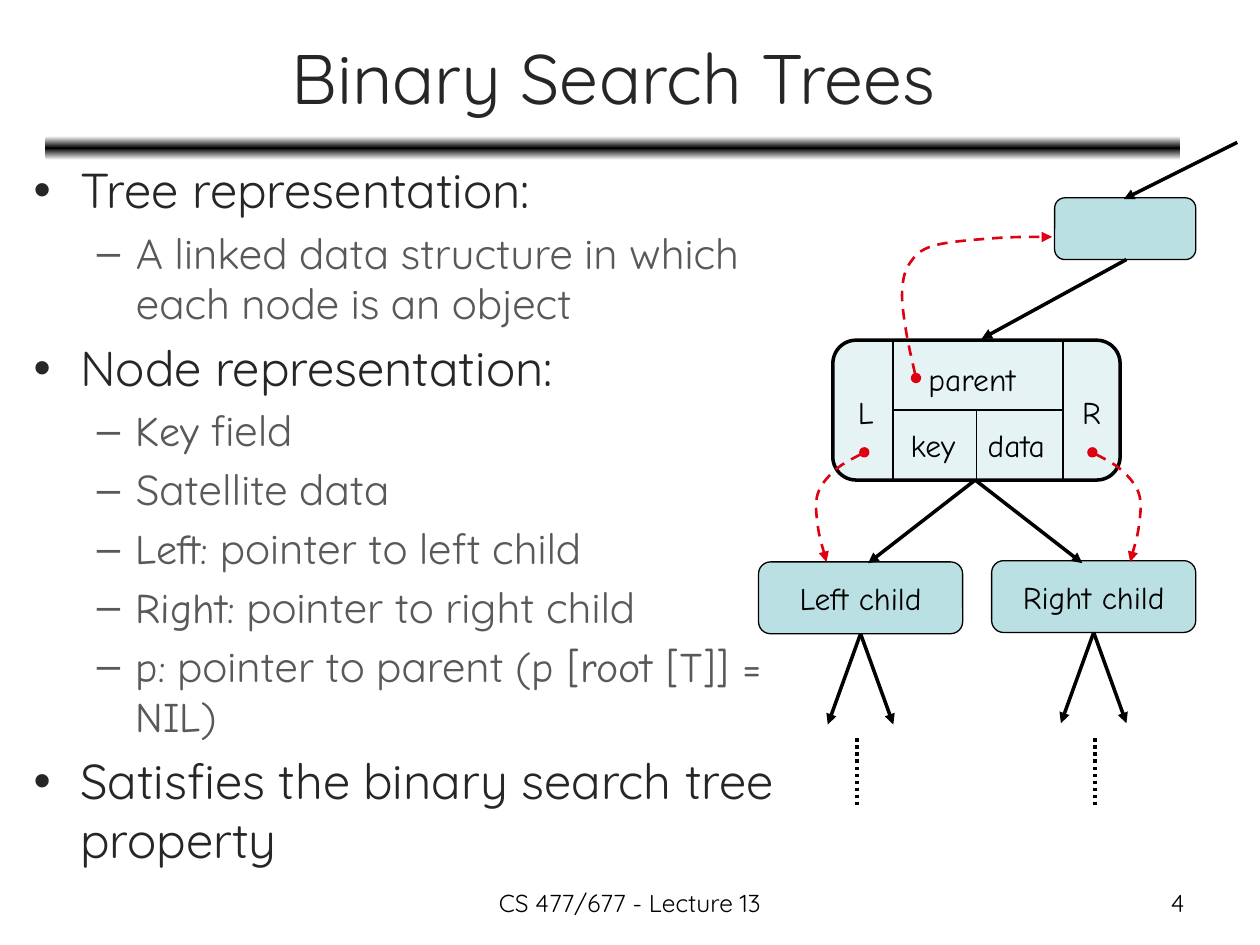
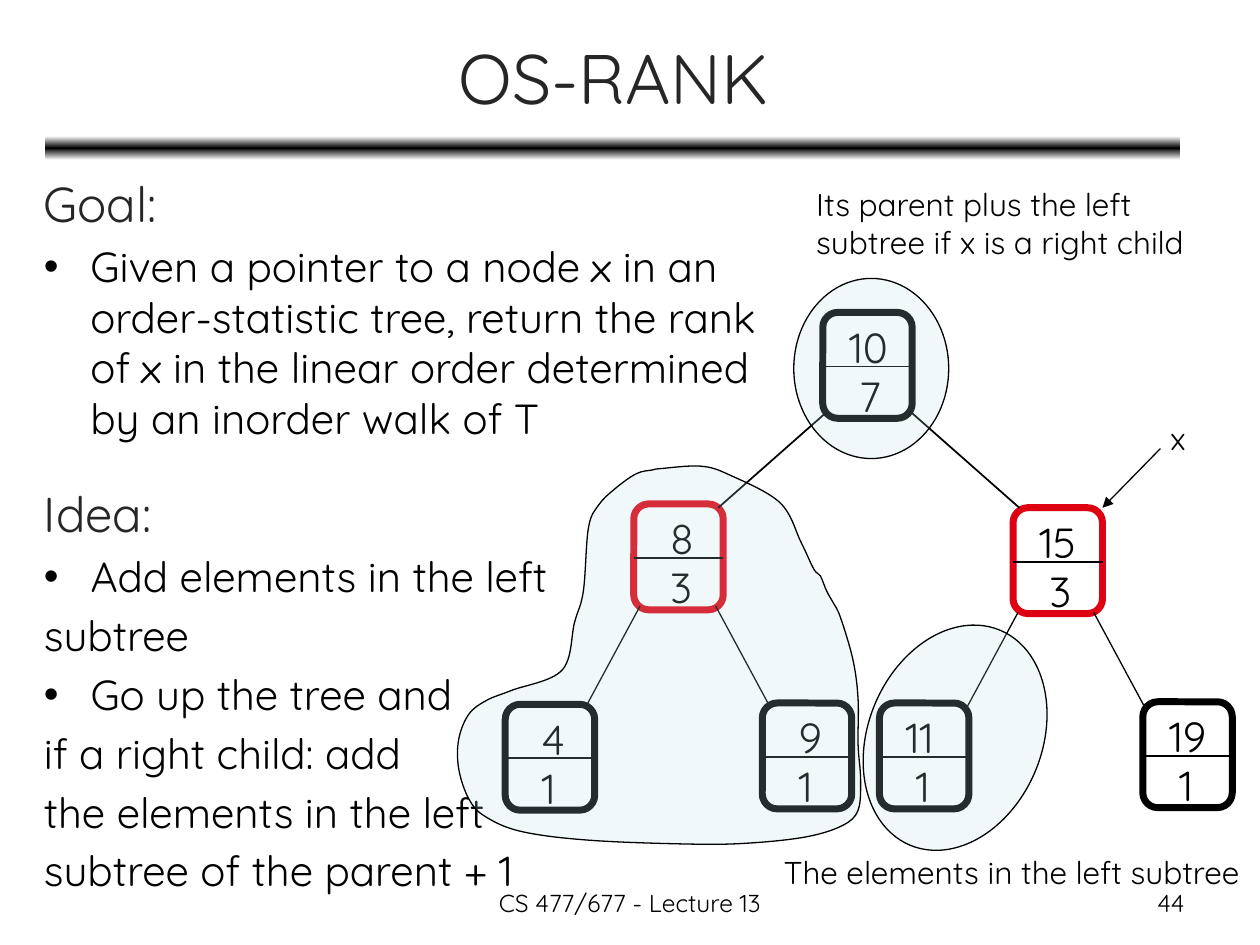
from copy import deepcopy
from dataclasses import dataclass

from lxml import etree
from pptx import Presentation, util as u
from pptx.dml.color import RGBColor
from pptx.enum import dml, shapes, text
from pptx.oxml.ns import qn

COLUMNS, ROWS = 100, 75
UNIT = u.Inches(10) // COLUMNS


@dataclass(frozen=True)
class Theme:
    ink: str = "000000"
    heading: str = "262626"
    detail: str = "595959"
    paper: str = "FFFFFF"
    teal: str = "BBE0E3"
    pale_teal: str = "E5F3F5"
    red: str = "DD0111"
    sans: str = "Quicksand"
    hand: str = "Comic Neue"
    title_size: int = 40
    lead_size: int = 28
    text_size: int = 24
    label_size: int = 18
    footer_size: int = 14


THEME = Theme()


@dataclass(frozen=True)
class Area:
    """A box on the slide grid."""
    x: float
    y: float
    w: float
    h: float

    def cell(self, dx, dy, w, h):
        return Area(self.x + dx, self.y + dy, w, h)

    def point(self, dx, dy):
        return self.x + dx, self.y + dy

    def at(self, across, down):
        """Point given as shares of this box."""
        return self.point(self.w * across, self.h * down)

    def emu(self):
        return [grid(v) for v in (self.x, self.y, self.w, self.h)]


@dataclass(frozen=True)
class Style:
    size: int
    color: str
    left: float = 0.37
    hang: float = 0.37
    bullet: str = ""
    level: int = 0


HEAD = Style(THEME.lead_size, THEME.heading)
TOPIC = Style(THEME.lead_size, THEME.heading, left=0.38, bullet="•")
DETAIL = Style(THEME.text_size, THEME.detail, 0.82, 0.31, "–", 1)
POINT = Style(THEME.text_size, THEME.ink, bullet="•")
FOLLOW = Style(THEME.text_size, THEME.ink)


def grid(value):
    return round(value * UNIT)


def rgb(color):
    return RGBColor.from_string(color)


def add_run(paragraph, words, size, color=THEME.ink, font=THEME.sans):
    run = paragraph.add_run()
    run.text = words
    run.font.size, run.font.name = u.Pt(size), font
    run.font.color.rgb = rgb(color)


def label(parent, area, lines, size=THEME.label_size, font=THEME.sans,
          align=text.PP_ALIGN.LEFT):
    frame = parent.shapes.add_textbox(*area.emu()).text_frame
    frame.word_wrap = True
    for i, line in enumerate(lines.split("\n")):
        paragraph = frame.add_paragraph() if i else frame.paragraphs[0]
        paragraph.alignment = align
        add_run(paragraph, line, size, font=font)


def outline(slide, area, items):
    """Bulleted text; words between asterisks use the handwritten font."""
    frame = slide.shapes.add_textbox(*area.emu()).text_frame
    frame.word_wrap = True
    for i, (style, words) in enumerate(items):
        paragraph = frame.add_paragraph() if i else frame.paragraphs[0]
        paragraph.level = style.level
        paragraph.space_before = u.Pt(style.size * 0.2)
        props = paragraph._p.get_or_add_pPr()
        props.set("marL", str(u.Inches(style.left)))
        props.set("indent", str(-u.Inches(style.hang)))
        if style.bullet:
            etree.SubElement(props, qn("a:buFont"), typeface="Arial")
            etree.SubElement(props, qn("a:buChar"), char=style.bullet)
        for n, part in enumerate(words.split("*")):
            if part:
                add_run(paragraph, part, style.size, style.color,
                        THEME.hand if n % 2 else THEME.sans)


def paint(shape, fill=None, line=THEME.ink, weight=0.75, alpha=None):
    shape.shadow.inherit = False
    if fill:
        shape.fill.solid()
        shape.fill.fore_color.rgb = rgb(fill)
        if alpha:
            color = shape._element.spPr.find(qn("a:solidFill"))[0]
            etree.SubElement(color, qn("a:alpha"), val=str(alpha * 1000))
    else:
        shape.fill.background()
    shape.line.color.rgb = rgb(line)
    shape.line.width = u.Pt(weight)


def add_ends(shape, **ends):
    stroke = shape._element.spPr.find(qn("a:ln"))
    for end, kind in ends.items():
        etree.SubElement(stroke, qn(f"a:{end}"), type=kind)


def rounded(parent, area, **look):
    box = parent.shapes.add_shape(shapes.MSO_SHAPE.ROUNDED_RECTANGLE, *area.emu())
    paint(box, **look)
    return box


def link(parent, start, end, weight=1, arrow=False, dash=None):
    line = parent.shapes.add_connector(
        shapes.MSO_CONNECTOR.STRAIGHT, *[grid(v) for v in (*start, *end)])
    line.line.color.rgb = rgb(THEME.ink)
    line.line.width = u.Pt(weight)
    if dash:
        line.line.dash_style = dash
    if arrow:
        add_ends(line, tailEnd="triangle")
    etree.SubElement(line._element.spPr, qn("a:effectLst"))


def curve(parent, points, closed=False):
    """Freeform of one Bezier per step, smooth through all the points."""
    knots = [(grid(x), grid(y)) for x, y in points]
    trail = knots + knots[:1] if closed else knots
    builder = parent.shapes.build_freeform(*trail[0])
    builder.add_line_segments(trail[1:], close=closed)
    shape = builder.convert_to_shape()
    left, top = (min(axis) for axis in zip(*trail))
    before, after = (knots[-1], knots[1]) if closed else (knots[0], knots[-1])
    around = [before, *trail, after]
    steps = shape._element.spPr.findall(".//" + qn("a:lnTo"))
    for step, a, b, c, d in zip(steps, around, around[1:], around[2:], around[3:]):
        step.tag = qn("a:cubicBezTo")
        handles = [[q + (r - p) / 6 for p, q, r in zip(a, b, c)],
                   [r - (s - q) / 6 for q, r, s in zip(b, c, d)]]
        for i, (x, y) in enumerate(handles):
            step.insert(i, etree.Element(
                qn("a:pt"), x=str(round(x - left)), y=str(round(y - top))))
    return shape


def pointer(parent, points):
    track = curve(parent, points)
    paint(track, line=THEME.red, weight=1.5)
    track.line.dash_style = dml.MSO_LINE.DASH
    add_ends(track, headEnd="oval", tailEnd="triangle")


def highlight(shape):
    paint(shape, fill=THEME.teal, alpha=20)


def title_rule(deck, slide):
    """Blurred rule, drawn once and moved to the master."""
    rule = rounded(slide, Area(3.6, 10.8, 90.1, 1.9))
    rule.line.fill.background()
    rule.fill.gradient()
    rule.fill.gradient_angle = 90
    stops = rule._element.spPr.find(".//" + qn("a:gsLst"))
    stops.append(deepcopy(stops[0]))
    shades = (THEME.paper, THEME.ink, THEME.paper)
    for i, (stop, shade) in enumerate(zip(rule.fill.gradient_stops, shades)):
        stop.position, stop.color.rgb = i / 2, rgb(shade)
    deck.slide_master.shapes._spTree.append(rule._element)


def lecture_slide(deck, title, number):
    slide = deck.slides.add_slide(deck.slide_layouts[5])
    page = Area(0, 0, COLUMNS, ROWS)
    heading = slide.shapes.title
    heading.left, heading.top, heading.width, heading.height = page.cell(
        3.7, 1.1, 90, 9.9).emu()
    heading.text_frame.vertical_anchor = text.MSO_ANCHOR.MIDDLE
    paragraph = heading.text_frame.paragraphs[0]
    paragraph.alignment = text.PP_ALIGN.CENTER
    add_run(paragraph, title, THEME.title_size, THEME.heading)
    label(slide, page.cell(34.15, 70, 31.7, 3.5), "CS 477/677 - Lecture 13",
          THEME.footer_size, align=text.PP_ALIGN.CENTER)
    label(slide, page.cell(71.7, 70, 23.3, 3.5), number,
          THEME.footer_size, align=text.PP_ALIGN.RIGHT)
    return slide


def node_record(parent, area):
    """Node split into its five fields."""
    rounded(parent, area, fill=THEME.pale_teal, weight=2)
    for start, end in (((0.21, 0), (0.21, 1)), ((0.8, 0), (0.8, 1)),
                       ((0.21, 0.5), (0.8, 0.5)), ((0.5, 0.5), (0.5, 1))):
        link(parent, area.at(*start), area.at(*end))
    for field, dx, dy, width in (("L", 1, 3.7, 3.4), ("R", 18.8, 3.7, 3.6),
                                 ("parent", 6.6, 1.1, 9.7), ("key", 5.2, 6.3, 6),
                                 ("data", 11.3, 6.3, 7.2)):
        label(parent, area.cell(dx, dy, width, 4), field, font=THEME.hand)


def child_node(parent, area, name):
    child = rounded(parent, area, fill=THEME.teal)
    frame = child.text_frame
    frame.word_wrap = False
    frame.vertical_anchor = text.MSO_ANCHOR.MIDDLE
    frame.paragraphs[0].alignment = text.PP_ALIGN.CENTER
    add_run(frame.paragraphs[0], name, THEME.label_size, font=THEME.hand)
    x, bottom = area.at(0.5, 1)
    for side in (-1, 1):
        link(parent, (x, bottom), (x + 2.6 * side, bottom + 7.2), 2, arrow=True)


def linked_tree(slide, area):
    tree = slide.shapes.add_group_shape()
    parent = area.cell(23.7, 5.7, 11.2, 4.9)
    record = area.cell(6.1, 17, 22.8, 11.1)
    rounded(tree, parent, fill=THEME.teal)
    node_record(tree, record)
    child_node(tree, area.cell(0.2, 34.6, 16.2, 5.7), "Left child")
    child_node(tree, area.cell(18.7, 34.5, 16.2, 5.7), "Right child")
    link(tree, area.point(38.2, 1.3), area.point(29.2, 5.8), 2, arrow=True)
    link(tree, area.point(29.4, 10.6), area.point(17.9, 16.9), 2, arrow=True)
    for side, start, dots in ((-1, 8.6, 8), (1, 26.7, 26.9)):
        link(tree, area.point(17.4, 28.1), area.point(17.4 + 8.5 * side, 34.7),
             2, arrow=True)
        pointer(tree, [area.point(start + side * dx, 25.9 + dy) for dx, dy in (
            (0, 0), (2.3, 1.4), (3.7, 3.3), (3.7, 5.8), (3, 8.7))])
        link(tree, area.point(dots, 48.6), area.point(dots, 54), 2,
             dash=dml.MSO_LINE.ROUND_DOT)
    pointer(tree, [area.point(*p) for p in (
        (12.7, 20), (11.9, 16.2), (11.6, 13.1), (12.2, 10.9),
        (14.1, 9.5), (19, 8.9), (23.5, 8.8))])


def ranked_node(tree, area, key, size, color):
    label(tree, area.cell(1.9, 4.1, 3.9, 5), size, THEME.text_size)
    rounded(tree, area, line=color, weight=4)
    indent = 1.1 if len(key) > 1 else 1.9
    label(tree, area.cell(indent, 0.2, 5.7, 5), key, THEME.text_size)
    link(tree, area.at(0, 0.51), area.at(1, 0.51))


def order_statistic_tree(slide, area):
    tree = slide.shapes.add_group_shape()
    for dx, dy, key, size, color in (
            (25.3, 4.8, "10", "7", THEME.ink), (10.3, 20, "8", "3", THEME.red),
            (40.4, 20.3, "15", "3", THEME.red), (0.1, 35.9, "4", "1", THEME.ink),
            (20.5, 35.8, "9", "1", THEME.ink), (29.8, 35.8, "11", "1", THEME.ink),
            (50.7, 35.7, "19", "1", THEME.ink)):
        ranked_node(tree, area.cell(dx, dy, 7.1, 8.4), key, size, color)
    for left, right, y, reach, drop, weight in (
            (25.5, 32.4, 12.8, 8.5, 7.5, 1), (10.8, 16.8, 28.1, 4.2, 7.8, 0.75),
            (40.8, 46.8, 28.6, 4.2, 7.8, 0.75)):
        link(tree, area.point(left, y), area.point(left - reach, y + drop), weight)
        link(tree, area.point(right, y), area.point(right + reach, y + drop), weight)


def rank_notes(slide, area):
    """Marks for x and for the subtrees that are counted."""
    link(slide, area.point(52.1, 15.6), area.point(47.5, 20.3), 0.75, arrow=True)
    label(slide, area.cell(51.9, 12.8, 3.2, 4), "x")
    oval = shapes.MSO_SHAPE.OVAL
    below = slide.shapes.add_group_shape()
    own_subtree = below.shapes.add_shape(oval, *area.cell(28.9, 29.3, 13.8, 18.5).emu())
    own_subtree.rotation = 22.7
    highlight(own_subtree)
    label(below, area.cell(21.2, 47.2, 38.8, 4), "The elements in the left subtree")
    above = slide.shapes.add_group_shape()
    label(above, area.cell(23.8, -5.8, 32.4, 7.1),
          "Its parent plus the left\nsubtree if x is a right child")
    highlight(above.shapes.add_shape(oval, *area.cell(23, 2.1, 12.3, 14.3).emu()))
    edge = ((15.8, 0.3), (14.5, 0.6), (12.8, 1.8), (11.5, 3.1), (10.7, 4.9),
            (10.3, 9.9), (9.6, 12.4), (8.6, 16.2), (4.6, 17.8), (2.6, 18.6),
            (1.2, 19.7), (0.4, 21.7), (0.4, 24), (1.2, 26.4), (2.5, 27.8),
            (5.4, 29), (10.9, 29.7), (19.1, 30), (23.7, 29.9), (28.1, 29.4),
            (30.9, 28.5), (32.1, 27.3), (32.3, 24.9), (32.1, 22.1), (32.1, 18.5),
            (31.7, 15.4), (30.7, 12), (30.1, 10.8), (29.6, 9.9), (29.1, 8.7),
            (28.6, 8.2), (27.6, 6.1), (25.9, 2.9), (21.9, 0.7), (19.6, 0),
            (16.4, 0.2))
    highlight(curve(above, [area.point(x - 4, y + 17) for x, y in edge], closed=True))


def main():
    deck = Presentation()
    deck.slide_width, deck.slide_height = COLUMNS * UNIT, ROWS * UNIT

    trees = lecture_slide(deck, "Binary Search Trees", "4")
    title_rule(deck, trees)
    outline(trees, Area(1.6, 12.2, 64.3, 59.3), [
        (TOPIC, "Tree representation:"),
        (DETAIL, "A linked data structure in which each node is an object"),
        (TOPIC, "Node representation:"),
        (DETAIL, "*Key* field"), (DETAIL, "Satellite data"),
        (DETAIL, "*Left:* pointer to left child"),
        (DETAIL, "*Right:* pointer to right child"),
        (DETAIL, "*p:* pointer to parent (*p [root [T]] = NIL*)"),
        (TOPIC, "Satisfies the binary search tree property")])
    linked_tree(trees, Area(60, 10, 38.2, 54))

    rank = lecture_slide(deck, "OS-RANK", "44")
    outline(rank, Area(2.5, 13.3, 61, 25.7), [
        (HEAD, "Goal:"),
        (POINT, "Given a pointer to a node *x* in an order-statistic tree, return the "
                "rank of *x* in the linear order determined by an inorder walk of T")])
    figure = Area(40, 20, 58, 50)
    order_statistic_tree(rank, figure)
    outline(rank, Area(2.5, 37.9, 46.1, 34.9), [
        (HEAD, "Idea:"),
        (POINT, "Add elements in the left"), (FOLLOW, "subtree"),
        (POINT, "Go up the tree and"), (FOLLOW, "if a right child: add"),
        (FOLLOW, "the elements in the left"),
        (FOLLOW, "subtree of the parent + 1")])
    rank_notes(rank, figure)
    deck.save("out.pptx")


if __name__ == "__main__":
    main()
